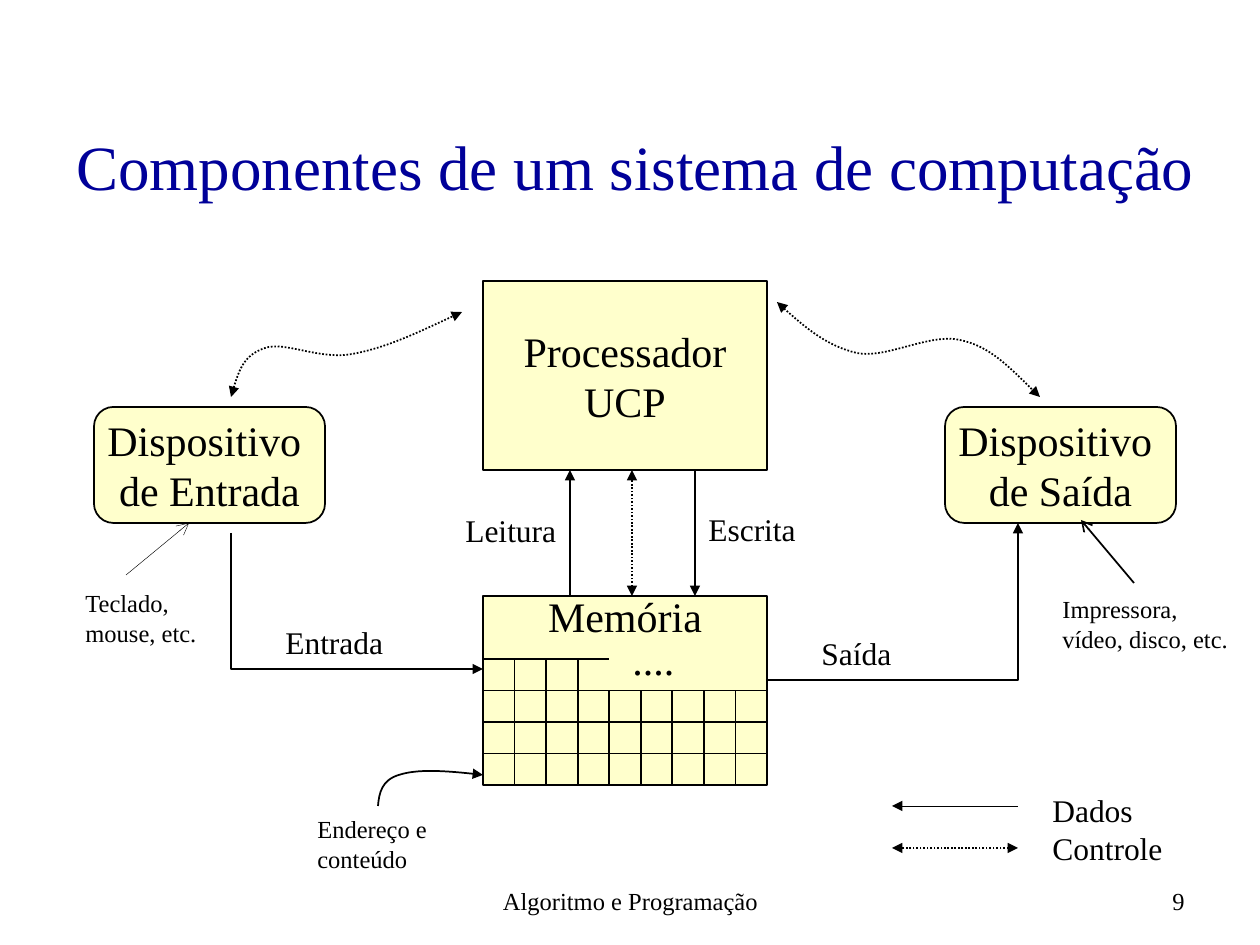
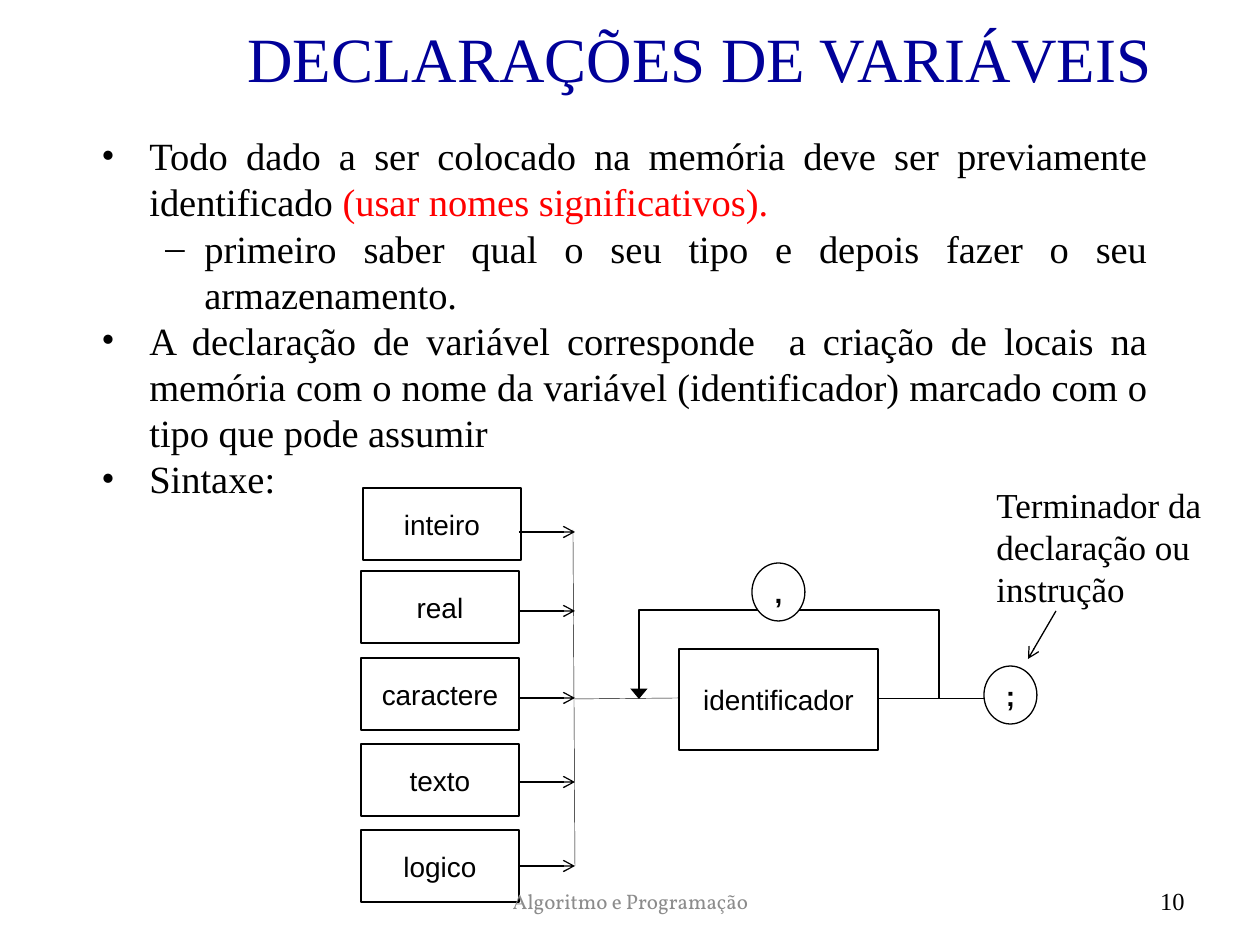
"""Builds two slides on computer components and variable declarations."""
from lxml import etree
from pptx import Presentation
from pptx import util as u
from pptx.dml.color import RGBColor
from pptx.enum import dml, shapes, text
from pptx.oxml.ns import qn

EMU_PER_PX = 914400 / 126
SERIF, SANS = "Times New Roman", "Arial"
BLACK, NAVY, RED, GREY = "000000", "000099", "FF0000", "8C8C8C"
CREAM, WHITE = "FFFFCC", "FFFFFF"
LEFT, CENTER, RIGHT = text.PP_ALIGN.LEFT, text.PP_ALIGN.CENTER, text.PP_ALIGN.RIGHT
TOP, MIDDLE = text.MSO_ANCHOR.TOP, text.MSO_ANCHOR.MIDDLE
RECT = shapes.MSO_SHAPE.RECTANGLE
ROUND = shapes.MSO_SHAPE.ROUNDED_RECTANGLE
OVAL = shapes.MSO_SHAPE.OVAL

FOOTER = "Algoritmo e Programação"
FOOTER_AT = (431, 876, 399, 50)
NUMBER_AT = (903, 876, 294, 50)

SYSTEM_TITLE = ("Componentes de um sistema de computação", (42, 123, 1187, 84))
PROCESSOR = ("Processador UCP", (483, 281, 284, 189))
MEMORY = ("Memória", (483, 596, 284, 189))
MEMORY_BOTTOM_MARGIN = 149
DEVICES = [
    (["Dispositivo ", "de Entrada"], (94, 407, 231, 116)),
    (["Dispositivo ", "de Saída"], (945, 407, 231, 116)),
]
FLOW_LABELS = [
    (["Dados", "Controle"], (1040, 785, 136, 88), 18),
    (["Leitura"], (453, 505, 116, 50), 18),
    (["Escrita"], (696, 504, 113, 50), 18),
    (["Entrada"], (273, 617, 123, 50), 18),
    (["Saída"], (809, 628, 96, 50), 18),
    (["...."], (620, 627, 67, 63), 24),
]
NOTES = [
    ("Endereço e conteúdo", (305, 808, 139, 72)),
    ("Teclado, mouse, etc.", (73, 582, 139, 72)),
    ("Impressora, vídeo, disco, etc.", (1050, 588, 199, 72)),
]
DATA_FLOWS = [
    [(570, 596), (570, 470)],
    [(695, 470), (695, 596)],
    [(231, 533), (231, 669), (483, 669)],
    [(766, 680), (1018, 680), (1018, 523)],
]
CONTROL_FLOWS = [
    [(632, 596), (632, 470)],
    [(1018, 848), (892, 848)],
]
CONTROL_CURVES = [
    [(231, 397), (237, 375), (244, 355), (265, 348), (285, 341),
     (319, 360), (352, 354), (386, 348), (423, 330), (462, 312)],
    [(777, 302), (801, 324), (827, 346), (857, 353), (887, 359),
     (929, 333), (960, 340), (990, 346), (1014, 372), (1040, 397)],
]
ADDRESS_CURVE = [(378, 806), (379, 793), (382, 780), (399, 775),
                 (417, 769), (450, 771), (483, 775)]
DATA_KEY = [(1018, 806), (892, 806)]
INPUT_POINTER = [(126, 575), (189, 523)]
OUTPUT_POINTER = [(1134, 583), (1081, 520)]
GRID_COLUMNS, GRID_ROWS, SHORT_COLUMNS, GRID_TOP = 9, 4, 4, 659

SYNTAX_TITLE = ("DECLARAÇÕES DE VARIÁVEIS", (164, 21, 1071, 73))
BODY_AT = (89, 126, 1071, 357)
BODY = [
    (0, [("Todo dado a ser colocado na memória deve ser previamente identificado ", BLACK),
         ("(usar nomes significativos).", RED)]),
    (1, [("primeiro saber qual o seu tipo e depois fazer o seu armazenamento.", BLACK)]),
    (0, [("A declaração de variável corresponde  a criação de locais na memória com o "
          "nome da variável (identificador) marcado com o tipo que pode assumir", BLACK)]),
    (0, [("Sintaxe:", BLACK)]),
]
BULLETS = [("•", 48, -48), ("–", 103, -39)]
TYPES = [("inteiro", (363, 488), 532), ("real", (361, 571), 611),
         ("caractere", (361, 658), 698), ("texto", (361, 744), 782),
         ("logico", (361, 830), 866)]
TYPE_SIZE, ARROW_START, BUS_X = (158, 72), 519, 575
IDENTIFIER = ("identificador", (679, 649, 199, 101))
SYMBOLS = [(",", (752, 563, 53, 58)), (";", (984, 666, 53, 58))]
LOOP = [(939, 699), (939, 610), (639, 610), (639, 699)]
WIRES = [[(575, 699), (679, 698)], [(878, 698), (1007, 698)], [(573, 530), (575, 866)]]
TERMINATOR = ("Terminador da declaração ou instrução", (984, 477, 243, 140))
TERMINATOR_POINTER = [(1056, 611), (1028, 659)]


def px(value):
    return u.Emu(round(value * EMU_PER_PX))


def color(value):
    return RGBColor.from_string(value)


def write(shape, lines, size, name=SERIF, ink=BLACK, align=LEFT, anchor=TOP,
          wrap=True, bold=False):
    frame = shape.text_frame
    frame.auto_size = text.MSO_AUTO_SIZE.NONE
    frame.word_wrap = wrap
    frame.vertical_anchor = anchor
    for index, line in enumerate(lines):
        para = frame.add_paragraph() if index else frame.paragraphs[0]
        para.text = line
        para.alignment = align
        font = para.font
        font.name, font.size, font.bold = name, u.Pt(size), bold
        font.color.rgb = color(ink)


def label(slide, lines, at, size, **style):
    box = slide.shapes.add_textbox(*map(px, at))
    write(box, lines, size, **style)


def node(slide, kind, lines, at, size, fill, width=1.0, **style):
    box = slide.shapes.add_shape(kind, *map(px, at))
    box.shadow.inherit = False
    box.fill.solid()
    box.fill.fore_color.rgb = color(fill)
    box.line.color.rgb = color(BLACK)
    box.line.width = u.Pt(width)
    write(box, lines, size, align=CENTER, anchor=MIDDLE, **style)
    return box


def bend(line):
    """Turns each three straight segments of a freeform into one cubic curve."""
    segments = list(line._element.iter(qn("a:lnTo")))
    for start in range(0, len(segments), 3):
        cubic = etree.Element(qn("a:cubicBezTo"))
        segments[start].addprevious(cubic)
        for segment in segments[start:start + 3]:
            cubic.append(segment[0])
            segment.getparent().remove(segment)


def stroke(slide, points, width=1.0, head=None, tail=None, dotted=False, curved=False,
           arrow_width="med"):
    spots = [(px(x), px(y)) for x, y in points]
    if len(spots) == 2:
        line = slide.shapes.add_connector(
            shapes.MSO_CONNECTOR.STRAIGHT, *spots[0], *spots[1])
    else:
        builder = slide.shapes.build_freeform(*spots[0])
        builder.add_line_segments(spots[1:], close=False)
        line = builder.convert_to_shape()
        line.fill.background()
    if curved:
        bend(line)
    line.line.color.rgb = color(BLACK)
    line.line.width = u.Pt(width)
    if dotted:
        line.line.dash_style = dml.MSO_LINE.ROUND_DOT
    outline = line._element.spPr.find(qn("a:ln"))
    for tag, arrow in (("a:headEnd", head), ("a:tailEnd", tail)):
        if arrow:
            etree.SubElement(outline, qn(tag), type=arrow, w=arrow_width)
    etree.SubElement(line._element.spPr, qn("a:effectLst"))


def add_page(deck, title, number):
    slide = deck.slides.add_slide(deck.slide_layouts[5])
    words, at = title
    box = slide.shapes.title
    box.left, box.top, box.width, box.height = map(px, at)
    write(box, [words], 36, ink=NAVY, align=CENTER, anchor=MIDDLE)
    label(slide, [number], NUMBER_AT, 14, align=RIGHT, anchor=MIDDLE)
    return slide


def add_footer(slide, size, **style):
    label(slide, [FOOTER], FOOTER_AT, size, align=CENTER, anchor=MIDDLE, **style)


def draw_memory_grid(slide):
    left, top, width, height = MEMORY[1]
    right, bottom = left + width, top + height
    column, row = width / GRID_COLUMNS, (bottom - GRID_TOP) / GRID_ROWS
    full_top = GRID_TOP + row
    for index in range(GRID_ROWS):
        y = GRID_TOP + index * row
        end = right if index else left + SHORT_COLUMNS * column
        stroke(slide, [(left, y), (end, y)])
    for index in range(1, GRID_COLUMNS):
        x = left + index * column
        stroke(slide, [(x, full_top), (x, bottom)])
        if index < SHORT_COLUMNS:
            stroke(slide, [(x, full_top), (x, GRID_TOP)])


def build_system(deck):
    slide = add_page(deck, SYSTEM_TITLE, "9")
    add_footer(slide, 14)
    node(slide, RECT, [PROCESSOR[0]], PROCESSOR[1], 24, CREAM)
    frame = node(slide, RECT, [MEMORY[0]], MEMORY[1], 24, CREAM).text_frame
    frame.margin_top, frame.margin_bottom = 0, px(MEMORY_BOTTOM_MARGIN)
    for lines, at in DEVICES:
        node(slide, ROUND, lines, at, 24, CREAM, wrap=False)
    draw_memory_grid(slide)
    for points in DATA_FLOWS:
        stroke(slide, points, tail="triangle")
    stroke(slide, ADDRESS_CURVE, tail="triangle", curved=True)
    for points in CONTROL_FLOWS + CONTROL_CURVES:
        stroke(slide, points, head="triangle", tail="triangle", dotted=True,
               curved=points in CONTROL_CURVES)
    stroke(slide, DATA_KEY, 0.25, tail="triangle")
    stroke(slide, INPUT_POINTER, 0.25, tail="arrow")
    stroke(slide, OUTPUT_POINTER, tail="arrow")
    for lines, at, size in FLOW_LABELS:
        label(slide, lines, at, size, wrap=False)
    for words, at in NOTES:
        label(slide, [words], at, 14)


def add_body(slide):
    frame = slide.shapes.add_textbox(*map(px, BODY_AT)).text_frame
    frame.word_wrap = True
    for index, (level, runs) in enumerate(BODY):
        para = frame.add_paragraph() if index else frame.paragraphs[0]
        para.level = level
        para.alignment = text.PP_ALIGN.JUSTIFY
        para.font.name, para.font.size = SERIF, u.Pt(22)
        for words, ink in runs:
            span = para.add_run()
            span.text = words
            span.font.color.rgb = color(ink)
        mark, margin, indent = BULLETS[level]
        props = para._p.get_or_add_pPr()
        props.set("marL", str(px(margin)))
        props.set("indent", str(px(indent)))
        props.insert(0, etree.Element(qn("a:buFont"), typeface=SERIF))
        props.insert(1, etree.Element(qn("a:buChar"), char=mark))


def build_syntax(deck):
    slide = add_page(deck, SYNTAX_TITLE, "10")
    add_body(slide)
    stroke(slide, LOOP, 0.75, tail="triangle", arrow_width="lg")
    for points in WIRES:
        stroke(slide, points, 0.25)
    plain = dict(fill=WHITE, width=0.75, name=SANS, wrap=False)
    for word, corner, arrow_y in TYPES:
        node(slide, RECT, [word], corner + TYPE_SIZE, 16, **plain)
        stroke(slide, [(ARROW_START, arrow_y), (BUS_X, arrow_y)], 0.75, tail="arrow")
    node(slide, RECT, [IDENTIFIER[0]], IDENTIFIER[1], 16, **plain)
    for symbol, at in SYMBOLS:
        node(slide, OVAL, [symbol], at, 16, bold=True, **plain)
    label(slide, [TERMINATOR[0]], TERMINATOR[1], 20)
    stroke(slide, TERMINATOR_POINTER, 0.75, tail="arrow")
    add_footer(slide, 12, name="Vollkorn", ink=GREY)


def main():
    deck = Presentation()
    deck.slide_width, deck.slide_height = px(1260), px(945)
    build_system(deck)
    build_syntax(deck)
    deck.save("out.pptx")


if __name__ == "__main__":
    main()
